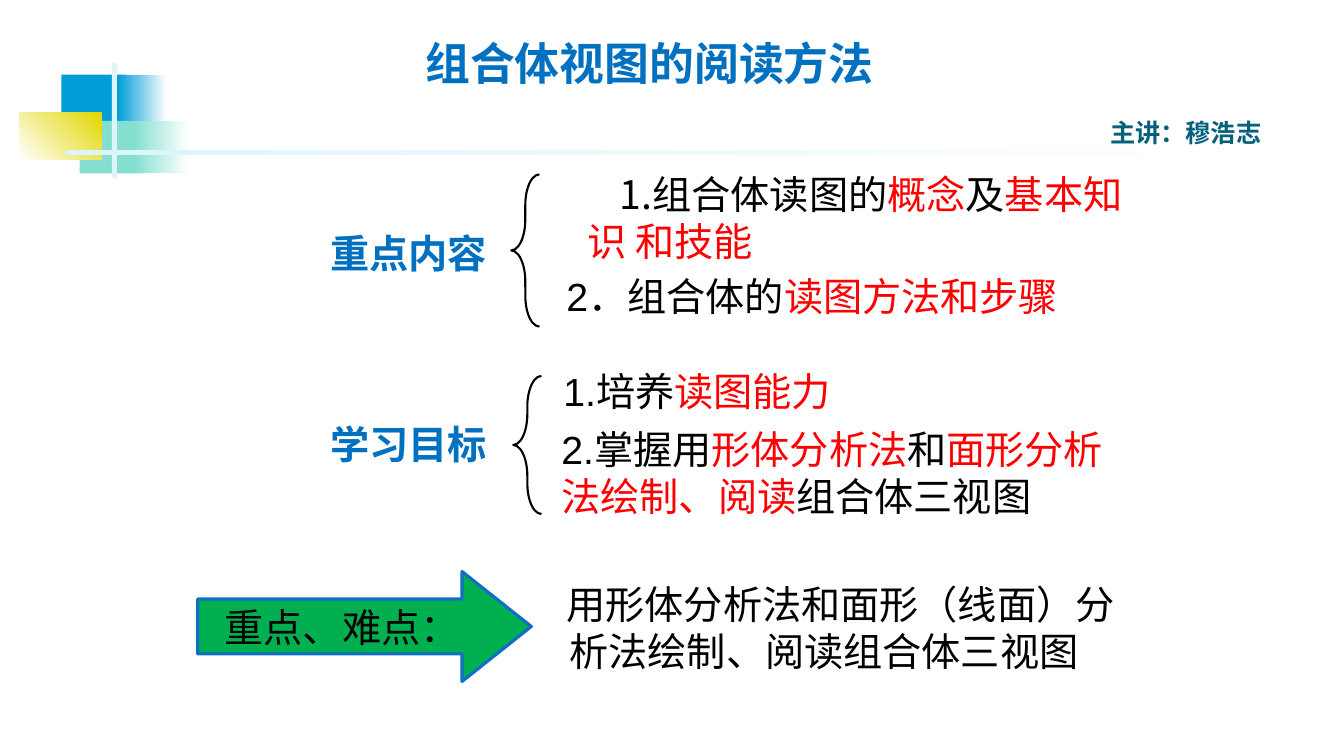
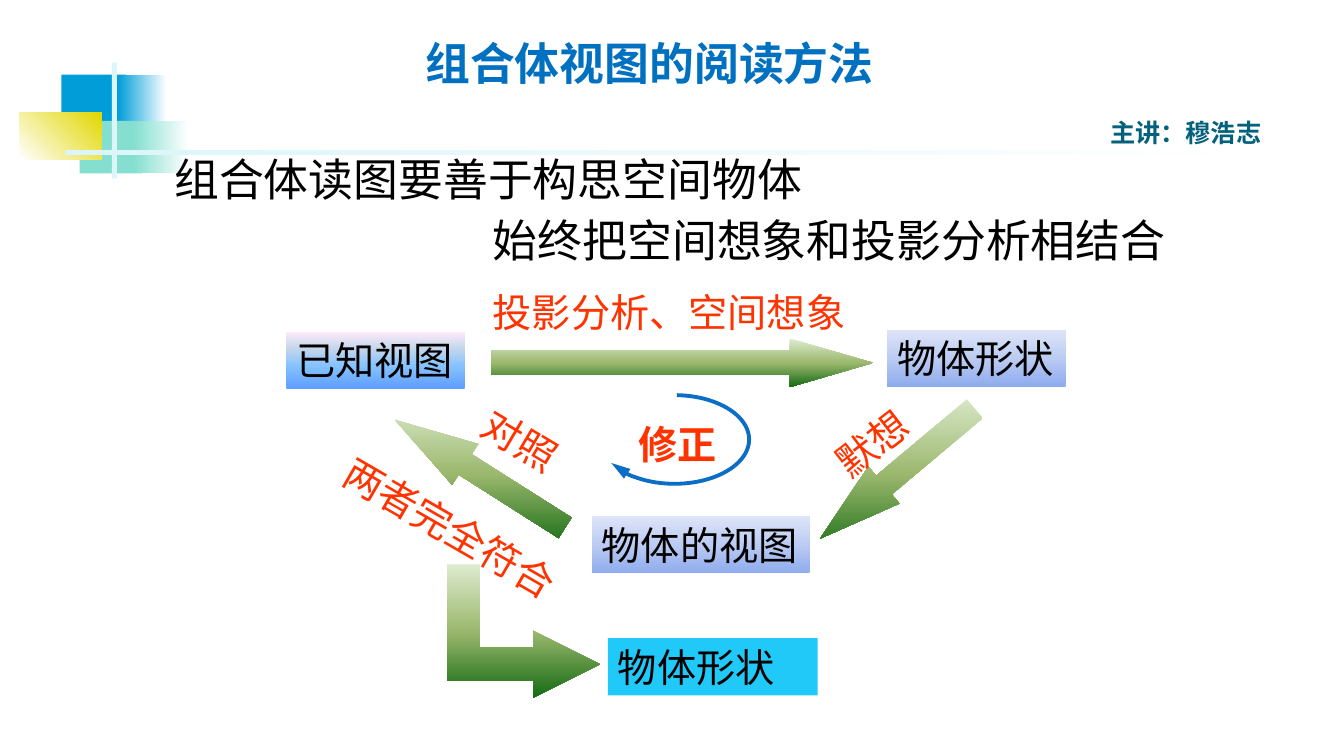
from dataclasses import dataclass

from lxml import etree
from pptx import Presentation
from pptx.dml.color import RGBColor
from pptx.enum.shapes import MSO_SHAPE
from pptx.enum.text import MSO_ANCHOR, PP_ALIGN
from pptx.oxml import parse_xml
from pptx.oxml.ns import nsdecls, qn
from pptx.util import Inches, Pt

RECT, ARC = MSO_SHAPE.RECTANGLE, MSO_SHAPE.ARC
BRACE, ARROW = MSO_SHAPE.LEFT_BRACE, MSO_SHAPE.RIGHT_ARROW
BENT_ARROW = MSO_SHAPE.BENT_UP_ARROW
TOP, MIDDLE = MSO_ANCHOR.TOP, MSO_ANCHOR.MIDDLE
CENTER = PP_ALIGN.CENTER


@dataclass(frozen=True)
class Gradient:
    """Colour stops as (percent, colour); the angle runs clockwise in degrees."""
    stops: tuple
    angle: int


@dataclass(frozen=True)
class Theme:
    black: str = "000000"
    red: str = "FF0000"
    orange: str = "FF3300"
    title_blue: str = "0070C0"
    teal: str = "04617B"
    green: str = "00B050"
    cyan: str = "20C9F8"
    outline: str = "0F6FC6"
    arc_blue: str = "0A6DC6"
    logo_blue: str = "009DD9"
    logo_mint: str = "85DFD0"
    pale: str = "DBF5F9"
    logo_yellow: Gradient = Gradient(((0, "FFFFFF"), (100, "E2D700")), 315)
    lavender: Gradient = Gradient(
        ((0, "8EABEE"), (50, "BBCBF2"), (100, "DEE5F8")), 270)
    sky: Gradient = Gradient(
        ((0, "5E9EFF"), (40, "85C2FF"), (70, "C4D6EB"), (100, "FFEBFA")), 270)
    leaf: Gradient = Gradient(
        ((0, "DDEBCF"), (50, "9CB86E"), (100, "156B13")), 90)
    sans: str = "Arial"
    serif: str = "Times New Roman"
    cjk: str = "Noto Sans CJK SC"
    large: int = 32
    body: int = 28
    small: int = 18


T = Theme()
TITLE = dict(size=T.large, name=T.cjk, color=T.title_blue, bold=True)
SPEAKER = dict(size=T.small, name=T.cjk, color=T.teal, bold=True)
HEADLINE = dict(size=T.large, name=T.serif, color=T.black)
BODY = dict(size=T.body, name=T.serif, color=T.black)
NUMBER = dict(BODY, name=T.sans)
KEY = dict(BODY, color=T.red)
LABEL = dict(NUMBER, color=T.title_blue, bold=True)
NOTE = dict(BODY, color=T.orange)
STRONG_NOTE = dict(NOTE, bold=True)


def fade(color):
    return Gradient(((0, color), (100, "FFFFFF")), 0)


def set_fill(sp, fill):
    if fill is None:
        sp.fill.background()
    elif isinstance(fill, Gradient):
        stops = "".join(
            f'<a:gs pos="{pos * 1000}"><a:srgbClr val="{color}"/></a:gs>'
            for pos, color in fill.stops)
        grad = parse_xml(
            f'<a:gradFill {nsdecls("a")} rotWithShape="0"><a:gsLst>{stops}</a:gsLst>'
            f'<a:lin ang="{fill.angle * 60000}" scaled="0"/></a:gradFill>')
        sp.fill.background()
        sp_pr = sp.element.spPr
        sp_pr.replace(sp_pr.find(qn("a:noFill")), grad)
    else:
        sp.fill.solid()
        sp.fill.fore_color.rgb = RGBColor.from_string(fill)


def add_shape(slide, kind, box, fill=None, line=None, adj=(), rot=0):
    """Line is a (colour, points) pair; adj lists the preset's adjustments."""
    sp = slide.shapes.add_shape(kind, *map(Inches, box))
    sp.shadow.inherit = False
    sp.rotation = rot
    for i, value in enumerate(adj):
        sp.adjustments[i] = value
    set_fill(sp, fill)
    if line:
        sp.line.color.rgb = RGBColor.from_string(line[0])
        sp.line.width = Pt(line[1])
    else:
        sp.line.fill.background()
    return sp


def add_run(p, text, fmt):
    r = p.add_run()
    r.text = text
    values = dict(fmt, size=Pt(fmt["size"]))
    r.font.color.rgb = RGBColor.from_string(values.pop("color"))
    for key, value in values.items():
        setattr(r.font, key, value)
    etree.SubElement(r.font._element, qn("a:ea"), typeface=T.cjk)


def write(sp, runs, anchor=TOP, wrap=True, align=PP_ALIGN.LEFT, spacing=None,
          indent=None, numbered=False):
    """Fill a shape with one paragraph; indent is (left margin, first line)."""
    tf = sp.text_frame
    tf.word_wrap = wrap
    tf.vertical_anchor = anchor
    p = tf.paragraphs[0]
    p.alignment = align
    if spacing:
        p.line_spacing = spacing
    p_pr = p._p.get_or_add_pPr()
    if indent:
        for key, value in zip(("marL", "indent"), indent):
            p_pr.set(key, str(Inches(value)))
    if numbered:
        etree.SubElement(p_pr, qn("a:buAutoNum"), type="arabicPeriod")
    for text, fmt in runs:
        add_run(p, text, fmt)


def add_text(slide, box, runs, rot=0, **layout):
    sp = slide.shapes.add_textbox(*map(Inches, box))
    sp.rotation = rot
    write(sp, runs, **layout)


def new_slide(prs):
    """Add a slide with the corner ornament, title and speaker line."""
    s = prs.slides.add_slide(prs.slide_layouts[6])
    for box, fill in (
            ((0.61, 0.74, 0.64, 0.52), T.logo_blue),
            ((1.17, 0.74, 0.48, 0.52), fade(T.logo_blue)),
            ((0.79, 1.2, 0.62, 0.52), T.logo_mint),
            ((1.33, 1.2, 0.54, 0.52), fade(T.logo_mint)),
            ((0.19, 1.12, 0.82, 0.46), T.logo_yellow),
            ((1.11, 0.62, 0.05, 1.15), T.pale),
            ((0.65, 1.49, 12, 0.05), fade(T.pale))):
        add_shape(s, RECT, box, fill)
    add_text(s, (4.12, 0.24, 5.59, 0.77), [("组合体视图的阅读方法", TITLE)],
             anchor=MIDDLE)
    add_text(s, (10.42, 1.11, 2.68, 0.4), [("主讲：穆浩志", SPEAKER)],
             anchor=MIDDLE, align=CENTER)
    return s


def add_braced_label(slide, text, label_top, brace_box):
    add_text(slide, (3.18, label_top, 2.03, 0.67), [(text, LABEL)], spacing=1.2)
    add_shape(slide, BRACE, brace_box, line=(T.black, 1.5), adj=(1.09, 0.5))


def add_outline_slide(prs):
    s = new_slide(prs)
    add_braced_label(s, "重点内容", 2.13, (5.07, 1.73, 0.28, 1.51))
    add_text(s, (5.49, 1.64, 5.83, 1.04),
             [("组合体读图的", BODY), ("概念", KEY), ("及", BODY),
              ("基本知识 和技能", KEY)],
             indent=(0.24, 0.32), numbered=True)
    add_text(s, (5.19, 2.65, 6.01, 0.57),
             [("2．组合体的", NUMBER), ("读图方法和步骤", KEY)], indent=(0, 0.33))

    add_braced_label(s, "学习目标", 4.03, (5.09, 3.73, 0.28, 1.37))
    add_text(s, (5.49, 3.59, 4.95, 0.57),
             [("1.", NUMBER), ("培养", BODY), ("读图能力", KEY)])
    add_text(s, (5.47, 4.17, 5.65, 1.04),
             [("2.", NUMBER), ("掌握用", BODY), ("形体分析法", KEY), ("和", BODY),
              ("面形分析法绘制、阅读", KEY), ("组合体三视图", BODY)])

    arrow = add_shape(s, ARROW, (1.96, 5.67, 3.31, 1.09), T.green,
                      (T.outline, 2.25), (0.5, 0.63))
    write(arrow, [("重点、难点：", NUMBER)], anchor=MIDDLE, indent=(0, 0.17))
    add_text(s, (4.99, 5.71, 6.33, 1.04),
             [("用形体分析法和面形（线面）分析法绘制、阅读组合体三视图", BODY)],
             indent=(0.56, -0.03))


def add_correction_arc(slide):
    degree = 0.6  # preset angles count 60000 per degree, adjustments 100000 per unit
    arc = add_shape(slide, ARC, (5.95, 3.92, 1.48, 0.88), line=(T.arc_blue, 2.75),
                    adj=(273 * degree, 159.6 * degree))
    etree.SubElement(arc.line._get_or_add_ln(), qn("a:tailEnd"),
                     type="triangle", w="med", len="lg")


def add_cycle_slide(prs):
    s = new_slide(prs)
    for box, text in (
            ((1.63, 1.46, 6.48, 0.64), "组合体读图要善于构思空间物体"),
            ((4.79, 2.06, 6.92, 0.63), "始终把空间想象和投影分析相结合")):
        add_text(s, box, [(text, HEADLINE)], wrap=False)

    for box, text, fill in (
            ((8.8, 3.27, 1.77, 0.57), "物体形状", T.lavender),
            ((5.87, 5.12, 2.16, 0.57), "物体的视图", T.lavender),
            ((2.84, 3.29, 1.77, 0.57), "已知视图", T.sky),
            ((6.03, 6.33, 2.08, 0.57), "物体形状", T.cyan)):
        write(add_shape(s, RECT, box, fill), [(text, BODY)])

    for box, rot in (((4.87, 3.36, 3.79, 0.48), 0),
                     ((7.9, 4.46, 2, 0.48), 140),
                     ((3.76, 4.46, 2, 0.48), 212.4)):
        add_shape(s, ARROW, box, T.leaf, adj=(0.5, 1.72), rot=rot)
    add_shape(s, BENT_ARROW, (4.53, 5.5, 1.32, 1.52), T.leaf,
              adj=(0.25, 0.25, 0.5), rot=90)

    for box, text, rot, fmt in (
            ((4.79, 2.81, 3.7, 0.57), "投影分析、空间想象", 0, NOTE),
            ((8.16, 4.11, 0.99, 0.57), "默想", 322.3, NOTE),
            ((4.67, 4.09, 0.99, 0.57), "对照", 30.9, NOTE),
            ((3.2, 4.95, 2.53, 0.57), "两者完全符合", 30, NOTE),
            ((6.23, 4.12, 0.99, 0.57), "修正", 0, STRONG_NOTE)):
        add_text(s, box, [(text, fmt)], rot=rot, wrap=False)
    add_correction_arc(s)


def main():
    prs = Presentation()
    prs.slide_width, prs.slide_height = Inches(13.33), Inches(7.5)
    add_outline_slide(prs)
    add_cycle_slide(prs)
    prs.save("out.pptx")


if __name__ == "__main__":
    main()
